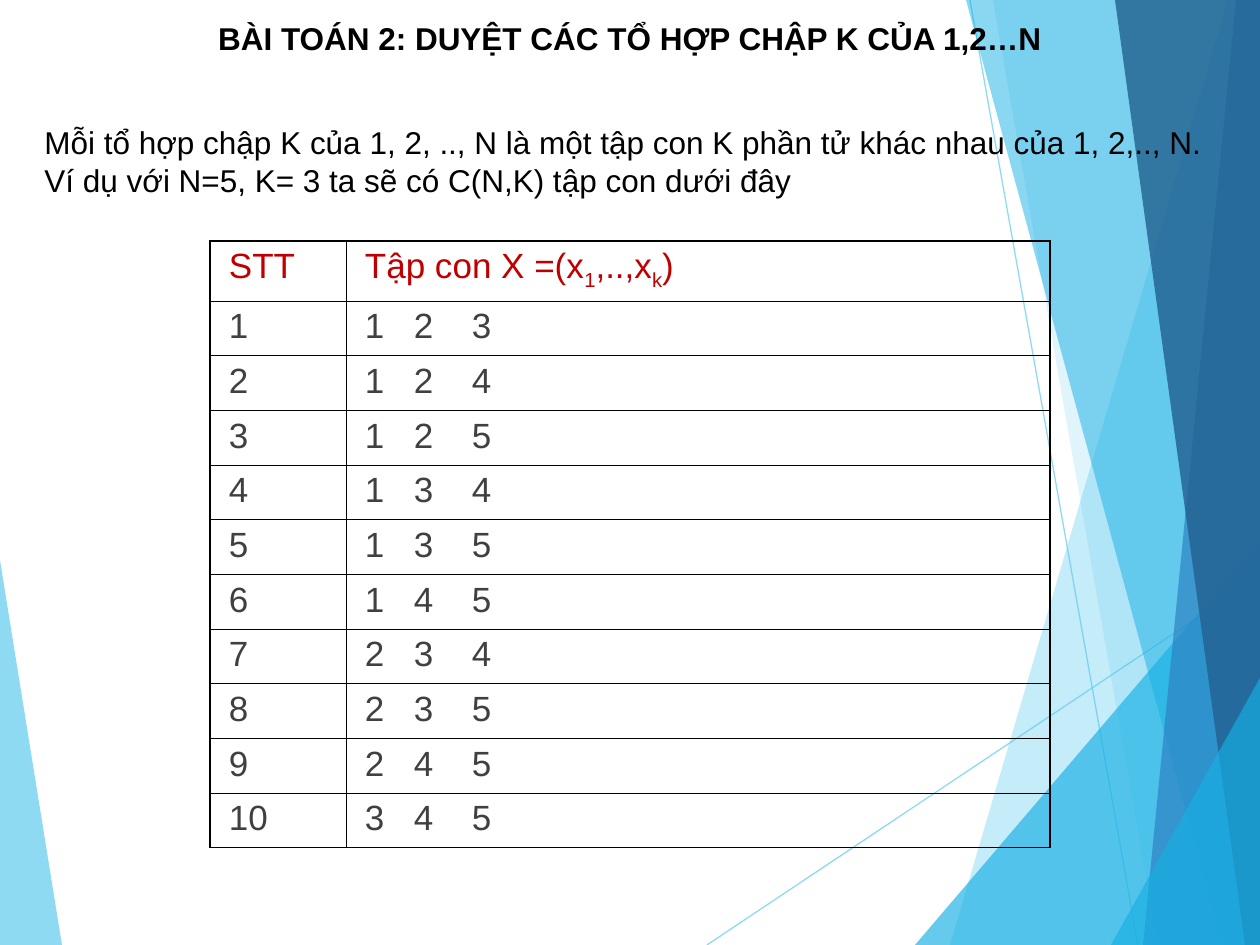
import lxml.etree
import pptx
import pptx.dml.color
import pptx.enum.shapes
import pptx.enum.text
import pptx.oxml.ns
import pptx.util

PX = 914400 // 126
WIDTH, HEIGHT = 1260, 945
FONT = "Arial"
COLORS = {
    "black": "000000", "red": "C00000", "gray": "404040", "sky": "5FCBEF",
    "cyan": "17B0E4", "blue": "2E83C3", "navy": "236292",
}

TITLE = "BÀI TOÁN 2: DUYỆT CÁC TỔ HỢP CHẬP K CỦA 1,2…N"
INTRO = ("Mỗi tổ hợp chập K của 1, 2, .., N là một tập con K phần tử khác nhau của "
         "1, 2,.., N. Ví dụ với N=5, K= 3 ta sẽ có C(N,K) tập con dưới đây")
# Header cells as (text, is subscript) runs
HEADER = [
    [("STT", False)],
    [("Tập con X =(x", False), ("1", True), (",..,x", False), ("k", True), (")", False)],
]
SUBSETS = ["1 2 3", "1 2 4", "1 2 5", "1 3 4", "1 3 5",
           "1 4 5", "2 3 4", "2 3 5", "2 4 5", "3 4 5"]

TITLE_BOX = (32, 13, 1196, 48)
INTRO_BOX = (32, 117, 1196, 91)
TABLE_BOX = (210, 241, 840, 607)
COLUMN_WIDTHS = (136, 704)
HEADER_HEIGHT = 60
CELL_INDENT = 19
NUMBER_TABS = (49, 107)
THIN, THICK = 0.45, 1.08


def right_band(top_x, bottom_x):
    """Full-height polygon from a slanted left edge to the right side of the slide."""
    return [(top_x, 0), (bottom_x, HEIGHT), (WIDTH, HEIGHT), (WIDTH, 0)]


def corner(left_x, top_y):
    """Triangle in the bottom right corner of the slide."""
    return [(left_x, HEIGHT), (WIDTH, top_y), (WIDTH, HEIGHT)]


RAYS = [((707, 945), (1260, 576)), ((970, 0), (1138, 945))]
LEFT_WEDGE = ([(0, 560), (62, HEIGHT), (0, HEIGHT)], "sky", 70)
RIGHT_FACETS = [  # points, colour, opacity in percent
    (right_band(1228, 950), "sky", 36),
    (right_band(993, 1158), "sky", 20),
    (corner(915, 541), "cyan", 66),
    (right_band(966, 1222), "cyan", 50),
    (right_band(1236, 1143), "blue", 70),
    (right_band(1115, 1245), "navy", 82),
    (corner(1111, 678), "cyan", 66),
]


def rgb(name):
    return pptx.dml.color.RGBColor.from_string(COLORS[name])


def emu(lengths):
    return [length * PX for length in lengths]


def add_child(parent, tag, **attributes):
    child = lxml.etree.SubElement(parent, pptx.oxml.ns.qn(tag))
    for name, value in attributes.items():
        child.set(name, str(value))
    return child


def set_color(fill, color, opacity):
    fill.solid()
    fill.fore_color.rgb = rgb(color)
    color_element = fill._xPr.find(".//" + pptx.oxml.ns.qn("a:srgbClr"))
    add_child(color_element, "a:alpha", val=opacity * 1000)


def add_facet(slide, points, color, opacity):
    builder = slide.shapes.build_freeform(*points[0], scale=PX)
    builder.add_line_segments(points[1:], close=True)
    shape = builder.convert_to_shape()
    shape.shadow.inherit = False
    shape.line.fill.background()
    set_color(shape.fill, color, opacity)


def add_ray(slide, start, end):
    connector = slide.shapes.add_connector(
        pptx.enum.shapes.MSO_CONNECTOR.STRAIGHT, *emu(start + end))
    connector.line.width = pptx.util.Pt(0.75)
    set_color(connector.line.fill, "sky", 70)
    add_child(connector._element.spPr, "a:effectLst")


def format_run(run, size, color, bold=False):
    run.font.name = FONT
    run.font.size = pptx.util.Pt(size)
    run.font.bold = bold
    run.font.color.rgb = rgb(color)


def fill_text_box(shape, box, text, alignment, bold):
    shape.left, shape.top, shape.width, shape.height = emu(box)
    frame = shape.text_frame
    frame.word_wrap = True
    frame.auto_size = pptx.enum.text.MSO_AUTO_SIZE.NONE
    frame.vertical_anchor = pptx.enum.text.MSO_ANCHOR.TOP
    frame.text = text
    paragraph = frame.paragraphs[0]
    paragraph.alignment = alignment
    format_run(paragraph.runs[0], 18, "black", bold)


def set_borders(cell, widths):
    properties = cell._tc.get_or_add_tcPr()
    for side, width in zip("LRTB", widths):
        line = add_child(properties, "a:ln" + side, w=pptx.util.Pt(width))
        fill = add_child(line, "a:solidFill")
        add_child(fill, "a:srgbClr", val=COLORS["black"])


def fill_cell(cell, runs, color):
    cell.margin_left = CELL_INDENT * PX
    paragraph = cell.text_frame.paragraphs[0]
    paragraph.space_before = pptx.util.Pt(5)
    paragraph.space_after = pptx.util.Pt(3)
    tabs = add_child(paragraph._p.get_or_add_pPr(), "a:tabLst")
    for position in NUMBER_TABS:
        add_child(tabs, "a:tab", pos=position * PX, algn="l")
    for text, is_subscript in runs:
        run = paragraph.add_run()
        run.text = text
        format_run(run, 20, color)
        if is_subscript:
            run.font._element.set("baseline", "-25000")


def add_subset_table(slide):
    rows = [HEADER] + [
        [[(str(number), False)], [(subset.replace(" ", "\t"), False)]]
        for number, subset in enumerate(SUBSETS, 1)]
    table = slide.shapes.add_table(len(rows), len(COLUMN_WIDTHS), *emu(TABLE_BOX)).table
    table.first_row = table.horz_banding = False
    for column, width in zip(table.columns, COLUMN_WIDTHS):
        column.width = width * PX
    body_height = (TABLE_BOX[3] - HEADER_HEIGHT) * PX // len(SUBSETS)
    last_row, last_column = len(rows) - 1, len(COLUMN_WIDTHS) - 1
    for i, row in enumerate(rows):
        table.rows[i].height = body_height if i else HEADER_HEIGHT * PX
        for j, runs in enumerate(row):
            cell = table.cell(i, j)
            fill_cell(cell, runs, "gray" if i else "red")
            outer_sides = (j == 0, j == last_column, i == 0, i == last_row)
            set_borders(cell, [THICK if outer else THIN for outer in outer_sides])
            cell.fill.background()


def main():
    presentation = pptx.Presentation()
    presentation.slide_width, presentation.slide_height = emu((WIDTH, HEIGHT))
    slide = presentation.slides.add_slide(presentation.slide_layouts[5])

    add_facet(slide, *LEFT_WEDGE)
    for start, end in RAYS:
        add_ray(slide, start, end)
    for facet in RIGHT_FACETS:
        add_facet(slide, *facet)

    title = slide.shapes.title
    slide.shapes._spTree.append(title._element)  # in front of the facets
    fill_text_box(title, TITLE_BOX, TITLE, pptx.enum.text.PP_ALIGN.CENTER, True)
    intro = slide.shapes.add_textbox(*emu(INTRO_BOX))
    fill_text_box(intro, INTRO_BOX, INTRO, pptx.enum.text.PP_ALIGN.LEFT, False)
    add_subset_table(slide)

    presentation.save("out.pptx")


if __name__ == "__main__":
    main()
